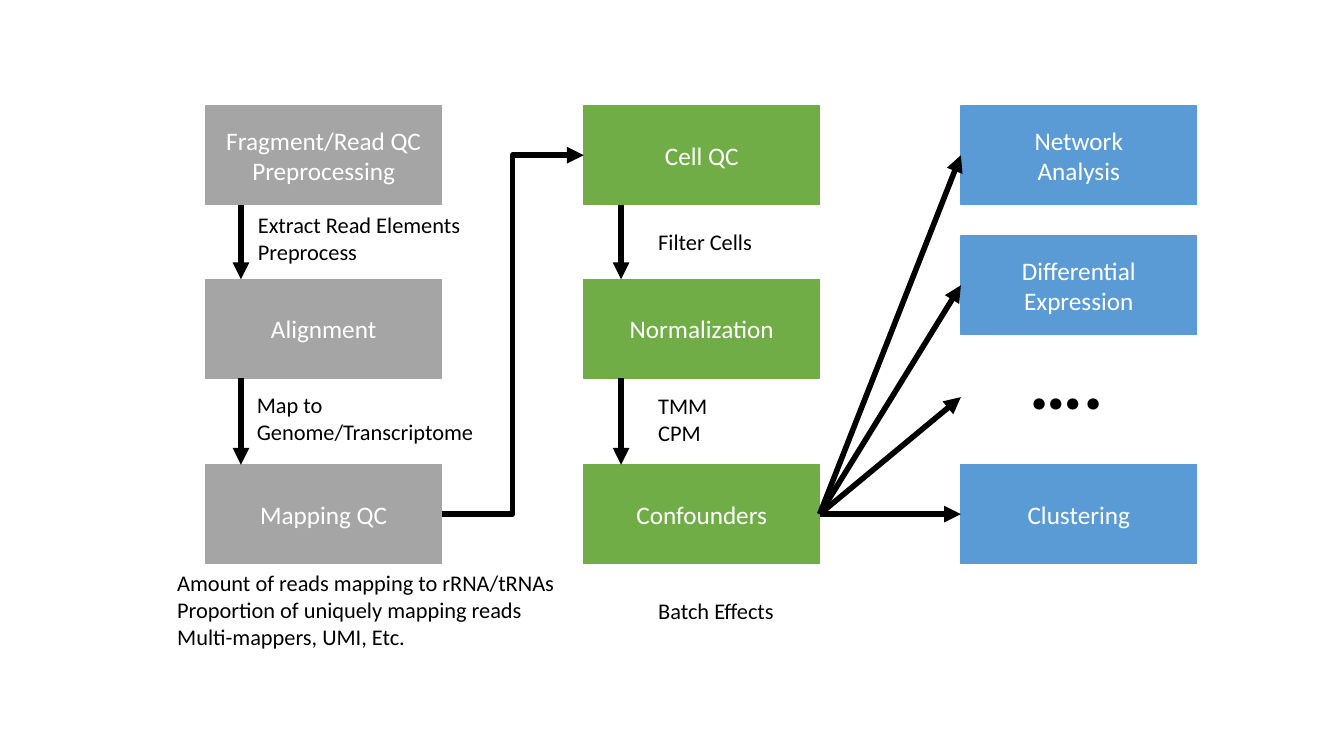
from lxml.etree import SubElement
from pptx import Presentation
from pptx.dml.color import RGBColor
from pptx.enum.shapes import MSO_CONNECTOR as Link, MSO_SHAPE as Preset
from pptx.enum.text import MSO_ANCHOR as Anchor, PP_ALIGN as Align
from pptx.oxml.ns import qn
from pptx.util import Inches, Pt

GRAY = RGBColor(0xA5, 0xA5, 0xA5)
GREEN = RGBColor(0x70, 0xAD, 0x47)
BLUE = RGBColor(0x5B, 0x9B, 0xD5)
BLACK = RGBColor(0, 0, 0)
WHITE = RGBColor(0xFF, 0xFF, 0xFF)

STEP_W, STEP_H = 2.34, 0.98
ROWS = (1.05, 2.77, 4.61)
READS_X, CELLS_X, RESULTS_X = 2.04, 5.79, 9.53
LEFT_SITE, RIGHT_SITE = 1, 3

STEPS = [
    (READS_X, GRAY, ROWS, ("Fragment/Read QC\nPreprocessing", "Alignment", "Mapping QC")),
    (CELLS_X, GREEN, ROWS, ("Cell QC", "Normalization", "Confounders")),
    (RESULTS_X, BLUE, (ROWS[0], 2.34, ROWS[2]),
     ("Network\nAnalysis", "Differential Expression", "Clustering")),
]
NOTES = [
    ("Extract Read Elements\nPreprocess", 2.46, 2.05, 2.63, 0.64),
    ("Map to Genome/Transcriptome", 2.45, 3.83, 2.63, 0.64),
    ("Amount of reads mapping to rRNA/tRNAs\nProportion of uniquely mapping reads\n"
     "Multi-mappers, UMI, Etc.", 1.66, 5.6, 4.5, 0.94),
    ("Filter Cells", 6.43, 2.21, 1.51, 0.37),
    ("TMM\nCPM", 6.43, 3.84, 1.51, 0.64),
    ("Batch Effects", 6.43, 5.87, 1.82, 0.37),
]


def write(frame, text, size=16, color=BLACK, bold=False, align=Align.LEFT, anchor=Anchor.TOP):
    """Fill a text frame, one paragraph per line of text."""
    frame.text = text
    frame.word_wrap = True
    frame.vertical_anchor = anchor
    for paragraph in frame.paragraphs:
        paragraph.alignment = align
        font = paragraph.font
        font.name, font.size, font.bold = "Calibri", Pt(size), bold
        font.color.rgb = color


def add_step(slide, label, left, top, color):
    """Draw one workflow step as a filled box and return it."""
    step = slide.shapes.add_shape(
        Preset.RECTANGLE, Inches(left), Inches(top), Inches(STEP_W), Inches(STEP_H))
    step.shadow.inherit = False
    step.fill.solid()
    step.fill.fore_color.rgb = color
    step.line.color.rgb = color
    step.line.width = Pt(1)
    write(step.text_frame, label, size=18, color=WHITE, align=Align.CENTER, anchor=Anchor.MIDDLE)
    return step


def add_note(slide, text, left, top, width, height, **text_format):
    """Place free text on the slide."""
    note = slide.shapes.add_textbox(Inches(left), Inches(top), Inches(width), Inches(height))
    write(note.text_frame, text, **text_format)


def add_arrow(slide, start=(0, 0), end=(0, 0), source=None, target=None, route=Link.STRAIGHT):
    """Draw an arrow between points, or from a source's right to a target's left side."""
    arrow = slide.shapes.add_connector(route, *map(Inches, (*start, *end)))
    if source is not None:
        arrow.begin_connect(source, RIGHT_SITE)
    if target is not None:
        arrow.end_connect(target, LEFT_SITE)
    arrow.line.color.rgb = BLACK
    arrow.line.width = Pt(4)
    SubElement(arrow.line._get_or_add_ln(), qn("a:tailEnd"), type="triangle")
    SubElement(arrow._element.spPr, qn("a:effectLst"))


def main():
    """Build the workflow slide and save it."""
    deck = Presentation()
    deck.slide_width, deck.slide_height = Inches(13.33), Inches(7.5)
    slide = deck.slides.add_slide(deck.slide_layouts[6])

    reads, cells, results = [
        [add_step(slide, label, left, top, color) for label, top in zip(labels, tops)]
        for left, color, tops, labels in STEPS]

    for flow_x in (2.39, 6.16):
        for upper, lower in zip(ROWS, ROWS[1:]):
            add_arrow(slide, (flow_x, upper + STEP_H), (flow_x, lower))

    mapping_qc, confounders = reads[-1], cells[-1]
    add_arrow(slide, source=mapping_qc, target=cells[0], route=Link.ELBOW)
    for result in results:
        add_arrow(slide, source=confounders, target=result)
    add_arrow(slide, end=(RESULTS_X, 3.94), source=confounders)

    add_note(slide, "….", 10.11, 3.26, 1.49, 1.01, size=54, bold=True)
    for note in NOTES:
        add_note(slide, *note)

    deck.save("out.pptx")


main()
